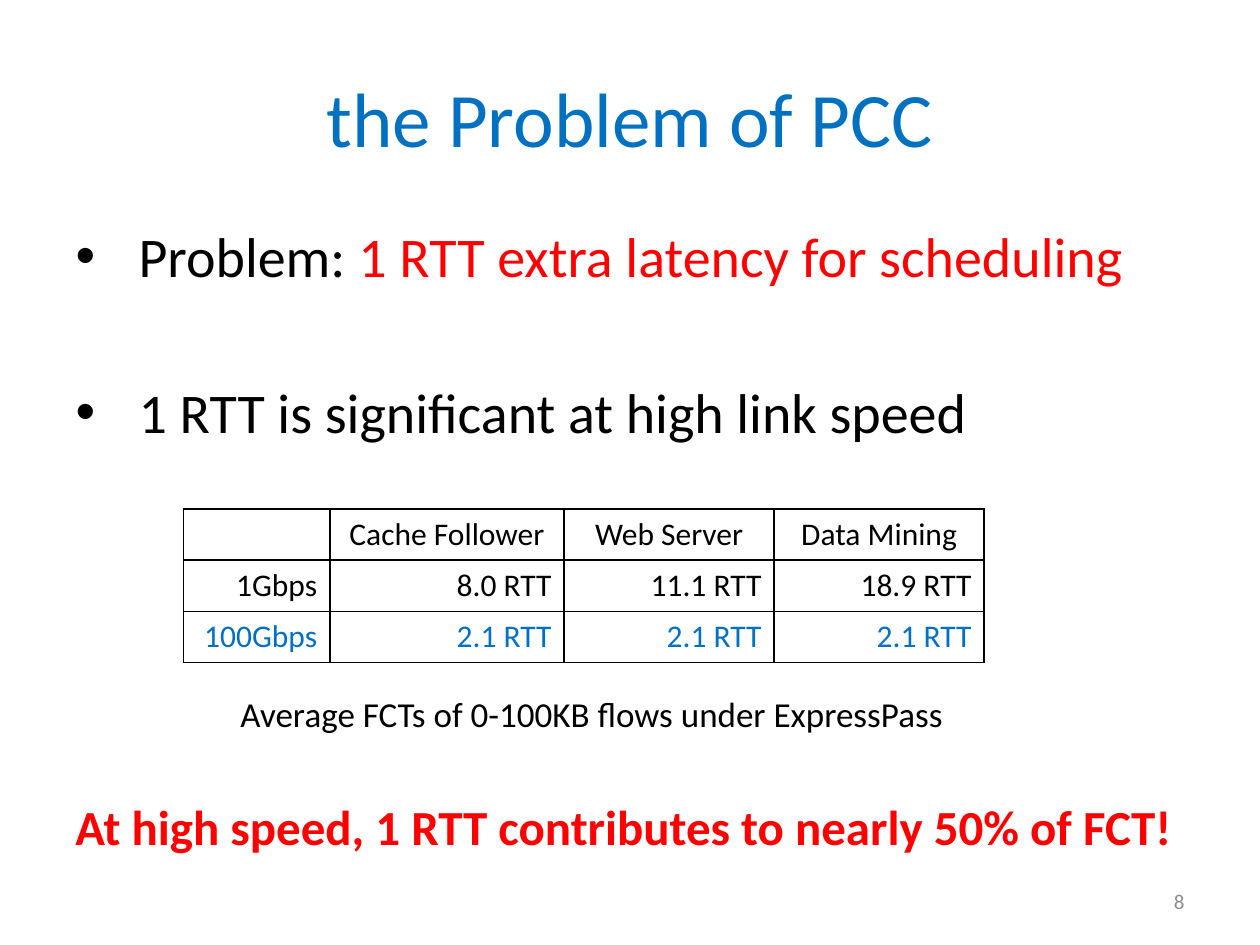
"""Build the slide on the extra scheduling latency of PCC."""
from dataclasses import dataclass
from lxml import etree
from pptx import Presentation
from pptx.dml.color import RGBColor
from pptx.enum.text import MSO_ANCHOR, MSO_AUTO_SIZE, PP_ALIGN
from pptx.oxml.ns import qn
from pptx.util import Pt

LEFT, CENTER, RIGHT = PP_ALIGN.LEFT, PP_ALIGN.CENTER, PP_ALIGN.RIGHT
MIDDLE = MSO_ANCHOR.MIDDLE
NO_FIT, GROW = MSO_AUTO_SIZE.NONE, MSO_AUTO_SIZE.SHAPE_TO_FIT_TEXT


@dataclass(frozen=True)
class Theme:
    font: str = "Calibri"
    black: str = "000000"
    blue: str = "0070C0"
    red: str = "FF0000"
    grey: str = "8C8C8C"
    title: int = 44
    body: int = 32
    takeaway: int = 28
    caption: int = 20
    table: int = 18
    number: int = 12


theme = Theme()


def style(p, size, color, align=LEFT, bold=False):
    p.alignment = align
    p.font.name = theme.font
    p.font.size = Pt(size)
    p.font.bold = bold
    p.font.color.rgb = RGBColor.from_string(color)


def place(sp, left, top, width, height):
    sp.left, sp.top, sp.width, sp.height = Pt(left), Pt(top), Pt(width), Pt(height)


prs = Presentation()
prs.slide_width, prs.slide_height = Pt(720), Pt(540)
s = prs.slides.add_slide(prs.slide_layouts[1])

title = s.shapes.title
place(title, 36, 21.6, 648, 90)
title.text_frame.text = "the Problem of PCC"
title.text_frame.vertical_anchor = MIDDLE
style(title.text_frame.paragraphs[0], theme.title, theme.blue, CENTER)

body = s.placeholders[1]
place(body, 36, 123.1, 648, 356.4)
tf = body.text_frame
tf.auto_size = NO_FIT
bullets = [
    ([("Problem: ", theme.black), ("1 RTT extra latency for scheduling", theme.red)], 6.4),
    ([("1 RTT is significant at high link speed", theme.black)], 50.7),
]
for i, (runs, gap) in enumerate(bullets):
    p = tf.add_paragraph() if i else tf.paragraphs[0]
    style(p, theme.body, theme.black)
    p.space_before = Pt(gap)
    pPr = p._p.get_or_add_pPr()
    pPr.set("marL", str(Pt(36)))
    pPr.set("indent", str(-Pt(36)))
    for text, color in runs:
        r = p.add_run()
        r.text = text
        r.font.color.rgb = RGBColor.from_string(color)

rows = [
    ["", "Cache Follower", "Web Server", "Data Mining"],
    ["1Gbps", "8.0 RTT", "11.1 RTT", "18.9 RTT"],
    ["100Gbps", "2.1 RTT", "2.1 RTT", "2.1 RTT"],
]
row_styles = [(theme.black, CENTER), (theme.black, RIGHT), (theme.blue, RIGHT)]
col_widths = [83.5, 133.9, 120, 120]
row_height = 29.2
frame = s.shapes.add_table(len(rows), len(col_widths), Pt(105), Pt(290.9),
                           Pt(sum(col_widths)), Pt(row_height * len(rows)))
table = frame.table
table.first_row = table.horz_banding = False
for col, width in zip(table.columns, col_widths):
    col.width = Pt(width)
for row, texts, (color, align) in zip(table.rows, rows, row_styles):
    row.height = Pt(row_height)
    for cell, text in zip(row.cells, texts):
        cell.text = text
        style(cell.text_frame.paragraphs[0], theme.table, color, align)
        tcPr = cell._tc.get_or_add_tcPr()
        for side in ("a:lnL", "a:lnR", "a:lnT", "a:lnB"):
            ln = etree.SubElement(tcPr, qn(side), w=str(Pt(1)))
            fill = etree.SubElement(ln, qn("a:solidFill"))
            etree.SubElement(fill, qn("a:srgbClr"), val=theme.black)
        cell.fill.background()

labels = [
    ("Average FCTs of 0-100KB flows under ExpressPass", (130.3, 391.7, 419.8, 31.5),
     theme.caption, theme.black, LEFT, False, True, GROW),
    ("At high speed, 1 RTT contributes to nearly 50% of FCT!", (36, 451.4, 648.7, 41.2),
     theme.takeaway, theme.red, LEFT, True, False, GROW),
    ("8", (516, 500.5, 168, 28.75),
     theme.number, theme.grey, RIGHT, False, True, NO_FIT),
]
for text, box, size, color, align, bold, wrap, fit in labels:
    sp = s.shapes.add_textbox(*map(Pt, box))
    tf = sp.text_frame
    tf.text = text
    tf.word_wrap = wrap
    tf.auto_size = fit
    tf.vertical_anchor = MIDDLE
    style(tf.paragraphs[0], size, color, align, bold)

prs.save("out.pptx")
